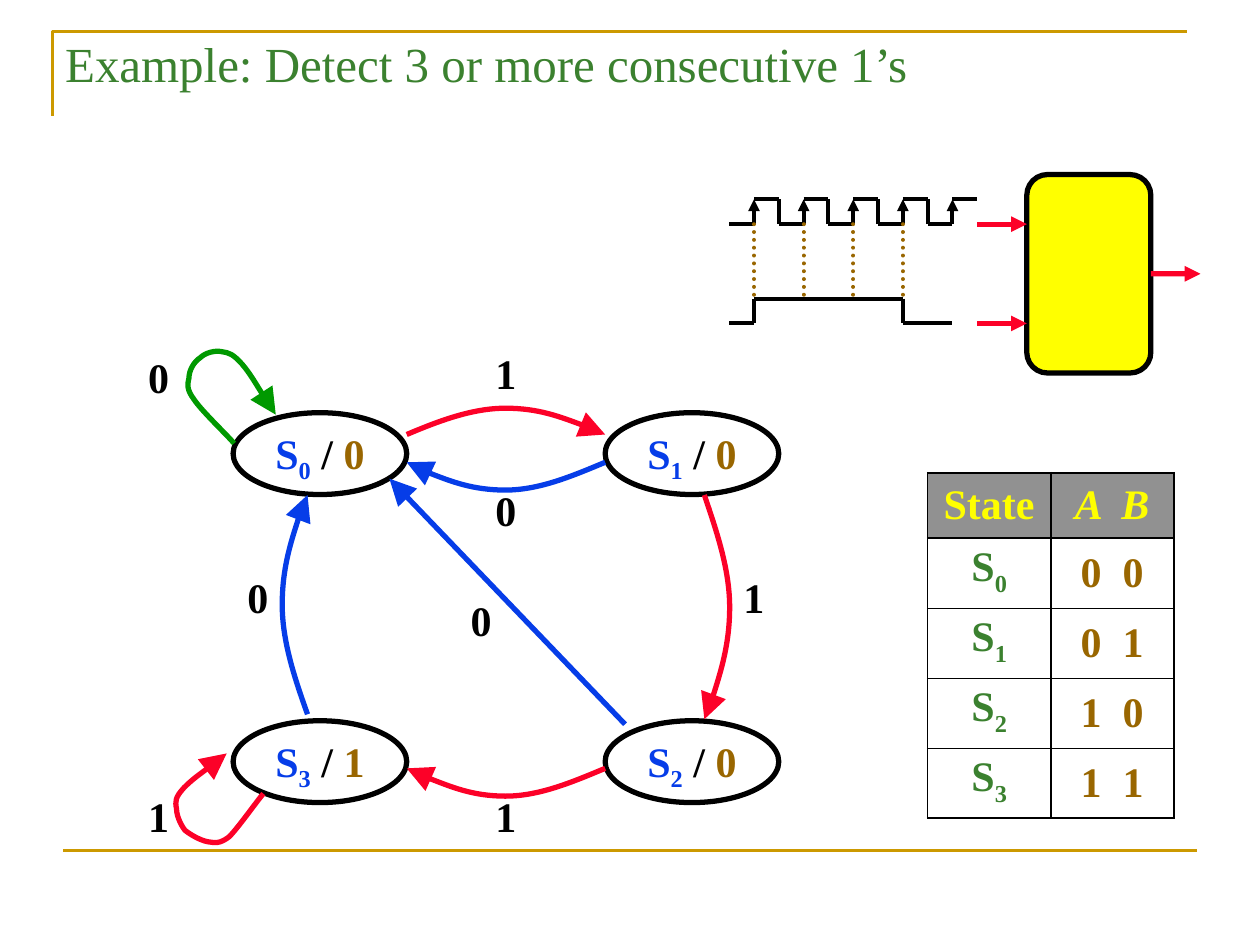
"""Build the slide with a state diagram that detects three or more consecutive ones."""
from dataclasses import dataclass
from itertools import pairwise

from lxml import etree
from pptx import Presentation
from pptx.dml.color import RGBColor
from pptx.enum import dml, shapes, text
from pptx.oxml import ns
from pptx.util import Cm, Pt

Point = tuple[float, float]


@dataclass(frozen=True)
class Theme:
    font: str = "Times New Roman"
    title_size: float = 28
    body_size: float = 24
    thick: float = 3
    medium: float = 2.25
    thin: float = 1.5
    black: str = "000000"
    gold: str = "CC9900"
    green: str = "3B812F"
    loop_green: str = "009900"
    red: str = "FC0128"
    blue: str = "063DE8"
    brown: str = "996600"
    yellow: str = "FFFF00"
    gray: str = "919191"


THEME = Theme()


@dataclass(frozen=True)
class Run:
    text: str
    color: str = THEME.black
    subscript: bool = False
    italic: bool = False


@dataclass(frozen=True)
class State:
    index: int
    output: int
    left: float
    top: float


@dataclass(frozen=True)
class Label:
    text: str
    left: float
    top: float


@dataclass(frozen=True)
class Transition:
    color: str
    points: tuple[Point, ...]


STATES = (State(0, 0, 4.7, 8.32), State(1, 0, 12.2, 8.32),
          State(3, 1, 4.7, 14.53), State(2, 0, 12.2, 14.53))

LABELS = (Label("0", 2.7, 7.2), Label("1", 9.7, 7.12), Label("0", 9.7, 9.88),
          Label("0", 4.7, 11.63), Label("0", 9.2, 12.1), Label("1", 14.7, 11.63),
          Label("1", 2.7, 16.05), Label("1", 9.7, 16.05))

TRANSITIONS = (
    Transition(THEME.loop_green, (
        (4.72, 8.94), (4.6, 8.79), (4.06, 8.28), (3.91, 8.05), (3.76, 7.85), (3.78, 7.75),
        (3.81, 7.62), (3.81, 7.47), (3.91, 7.29), (4.04, 7.21), (4.14, 7.11), (4.34, 7.06),
        (4.47, 7.09), (4.62, 7.11), (4.7, 7.14), (4.88, 7.34), (5.05, 7.54), (5.41, 8.15),
        (5.56, 8.36))),
    Transition(THEME.red, (
        (8.2, 8.76), (8.86, 8.48), (9.53, 8.23), (10.19, 8.23), (10.87, 8.23), (11.86, 8.59),
        (12.2, 8.76))),
    Transition(THEME.blue, (
        (12.2, 9.32), (11.53, 9.6), (10.87, 9.88), (10.19, 9.88), (9.53, 9.88), (8.53, 9.53),
        (8.2, 9.32))),
    Transition(THEME.red, (
        (14.2, 9.98), (14.45, 10.72), (14.71, 11.48), (14.71, 12.24), (14.71, 12.98),
        (14.38, 14.12), (14.2, 14.5))),
    Transition(THEME.red, (
        (12.2, 15.49), (11.53, 15.77), (10.87, 16.05), (10.19, 16.05), (9.53, 16.05),
        (8.53, 15.67), (8.2, 15.49))),
    Transition(THEME.blue, (
        (6.2, 14.4), (5.94, 13.67), (5.69, 12.93), (5.69, 12.19), (5.69, 11.46), (6.02, 10.34),
        (6.2, 9.98))),
    Transition(THEME.red, (
        (5.31, 16.0), (5.18, 16.15), (4.8, 16.69), (4.62, 16.87), (4.42, 17.02), (4.34, 16.99),
        (4.19, 16.97), (4.04, 16.94), (3.86, 16.84), (3.73, 16.74), (3.63, 16.61), (3.56, 16.43),
        (3.56, 16.31), (3.53, 16.15), (3.53, 16.08), (3.71, 15.88), (3.89, 15.7), (4.39, 15.34),
        (4.57, 15.19))),
)


def write(frame, runs: list[Run], *, size: float = THEME.body_size, bold: bool = True,
          align=text.PP_ALIGN.CENTER, spacing: float = 1.0, anchor=None,
          margin: float | None = None) -> None:
    """Write one formatted paragraph into a text frame."""
    frame.word_wrap = True
    if anchor is not None:
        frame.vertical_anchor = anchor
    if margin is not None:
        frame.margin_left = frame.margin_right = frame.margin_top = frame.margin_bottom = Cm(margin)
    paragraph = frame.paragraphs[0]
    paragraph.alignment, paragraph.line_spacing = align, spacing
    for item in runs:
        run = paragraph.add_run()
        run.text = item.text
        run.font.name, run.font.size = THEME.font, Pt(size)
        run.font.bold, run.font.italic = bold, item.italic
        run.font.color.rgb = RGBColor.from_string(item.color)
        if item.subscript:
            run.font._element.set("baseline", "-25000")


def style_line(shape, color: str, width: float, arrow: str | None = None, dash=None) -> None:
    """Format an outline, with an optional arrowhead of the given size."""
    shape.line.color.rgb = RGBColor.from_string(color)
    shape.line.width = Pt(width)
    outline = shape._element.spPr.find(ns.qn("a:ln"))
    if dash is not None:
        shape.line.dash_style = dash
        outline.set("cap", "rnd")
    if arrow:
        etree.SubElement(outline, ns.qn("a:tailEnd"), type="triangle", w=arrow, len=arrow)


def add_line(slide, start: Point, end: Point, color: str = THEME.black,
             width: float = THEME.medium, arrow: str | None = None, dash=None):
    """Draw a straight connector."""
    connector = slide.shapes.add_connector(shapes.MSO_CONNECTOR.STRAIGHT, *map(Cm, start + end))
    style_line(connector, color, width, arrow, dash)
    etree.SubElement(connector._element.spPr, ns.qn("a:effectLst"))
    return connector


def add_outline(slide, points: tuple[Point, ...], color: str, width: float,
                arrow: str | None = None):
    """Draw an open unfilled outline through the points."""
    start, *rest = [(Cm(x), Cm(y)) for x, y in points]
    builder = slide.shapes.build_freeform(*start)
    builder.add_line_segments(rest, close=False)
    shape = builder.convert_to_shape()
    shape.shadow.inherit = False
    shape.fill.background()
    style_line(shape, color, width, arrow)
    return shape


def add_transition(slide, transition: Transition) -> None:
    """Draw a curved arrow, turning each three points into one cubic segment."""
    shape = add_outline(slide, transition.points, transition.color, THEME.thick, "lg")
    segments = list(shape._element.iter(ns.qn("a:lnTo")))
    for first in range(0, len(segments), 3):
        curve, *others = segments[first:first + 3]
        curve.tag = ns.qn("a:cubicBezTo")
        for other in others:
            curve.append(other[0])
            other.getparent().remove(other)


def add_shape(slide, kind, left: float, top: float, width: float, height: float,
              fill: str | None = None):
    """Draw a black-outlined preset shape."""
    shape = slide.shapes.add_shape(kind, Cm(left), Cm(top), Cm(width), Cm(height))
    shape.shadow.inherit = False
    set_fill(shape, fill)
    style_line(shape, THEME.black, THEME.thick)
    return shape


def set_fill(target, color: str | None) -> None:
    """Fill a shape or cell, or leave it clear."""
    if color is None:
        target.fill.background()
    else:
        target.fill.solid()
        target.fill.fore_color.rgb = RGBColor.from_string(color)


def add_state(slide, state: State) -> None:
    """Draw one state ellipse with its output."""
    ellipse = add_shape(slide, shapes.MSO_SHAPE.OVAL, state.left, state.top, 3.5, 1.65)
    runs = [Run("S", THEME.blue), Run(str(state.index), THEME.blue, subscript=True),
            Run(" / "), Run(str(state.output), THEME.brown)]
    write(ellipse.text_frame, runs, spacing=0.9, anchor=text.MSO_ANCHOR.MIDDLE, margin=0)


def add_label(slide, label: Label) -> None:
    """Write the input value beside a transition."""
    box = slide.shapes.add_textbox(Cm(label.left), Cm(label.top), Cm(1), Cm(0.92))
    write(box.text_frame, [Run(label.text)], spacing=0.9, margin=0)


def add_detector(slide) -> None:
    """Draw the detector block with its clock and input waveforms."""
    box = add_shape(slide, shapes.MSO_SHAPE.ROUNDED_RECTANGLE, 20.7, 3.52, 2.5, 4, THEME.yellow)
    output = add_line(slide, (23.2, 5.52), (24.2, 5.52), THEME.red, THEME.thick, "med")
    output.begin_connect(box, 3)
    low, high, half = 4.52, 4.02, 0.5
    for y in (low, low + 2):
        add_line(slide, (19.7, y), (20.7, y), THEME.red, THEME.thick, "med")
    for pulse in range(5):
        x = 15.2 + pulse
        add_line(slide, (x - half, low), (x, low))
        add_line(slide, (x, low), (x, high), arrow="med")
        add_line(slide, (x, high), (x + half, high))
        if pulse < 4:
            add_line(slide, (x + half, high), (x + half, low))
            add_line(slide, (x, low), (x, 6.02), THEME.brown, dash=dml.MSO_LINE.ROUND_DOT)
    signal = [(14.7, 6.52), (15.2, 6.52), (15.2, 6.02), (16.2, 6.02), (17.2, 6.02),
              (18.2, 6.02), (18.2, 6.52), (19.2, 6.52)]
    for start, end in pairwise(signal):
        add_line(slide, start, end)


def set_borders(cell, **widths: float) -> None:
    """Give a cell solid black borders, in points by side."""
    properties = cell._tc.get_or_add_tcPr()
    for side, width in widths.items():
        border = etree.SubElement(properties, ns.qn(f"a:ln{side}"), w=str(int(Pt(width))))
        fill = etree.SubElement(border, ns.qn("a:solidFill"))
        etree.SubElement(fill, ns.qn("a:srgbClr"), val=THEME.black)


def add_state_table(slide) -> None:
    """Add the table of state codes."""
    rows = [([Run("State", THEME.yellow)], [Run("A  B", THEME.yellow, italic=True)])]
    rows += [([Run("S", THEME.green), Run(str(n), THEME.green, subscript=True)],
              [Run(f"{n // 2}  {n % 2}", THEME.brown)]) for n in range(4)]
    table = slide.shapes.add_table(len(rows), 2, Cm(18.7), Cm(9.53), Cm(4.96), Cm(6.6)).table
    table.horz_banding = False
    outer, inner, divider = 1.08, 0.45, 1.47
    edges = [outer, divider, inner, inner, inner, outer]
    sides = [outer, divider, outer]
    for r, row in enumerate(rows):
        table.rows[r].height = Cm(1.32)
        for c, runs in enumerate(row):
            cell = table.cell(r, c)
            set_borders(cell, L=sides[c], R=sides[c + 1], T=edges[r], B=edges[r + 1])
            set_fill(cell, THEME.gray if r == 0 else None)
            top = r > 0 and c == 0
            cell.vertical_anchor = text.MSO_ANCHOR.TOP if top else text.MSO_ANCHOR.MIDDLE
            write(cell.text_frame, runs)


def add_title(slide) -> None:
    """Place the title and the slide's gold rules."""
    add_outline(slide, ((1.06, 2.33), (1.06, 0.63), (23.92, 0.63)), THEME.gold, THEME.thin)
    add_line(slide, (1.27, 17.15), (24.13, 17.15), THEME.gold, THEME.thin)
    title = slide.shapes.title
    title.left, title.top, title.width, title.height = Cm(1.06), Cm(0.55), Cm(21.39), Cm(1.98)
    title.text_frame.auto_size = text.MSO_AUTO_SIZE.NONE
    write(title.text_frame, [Run("Example: Detect 3 or more consecutive 1’s", THEME.green)],
          size=THEME.title_size, bold=False, align=text.PP_ALIGN.LEFT, anchor=text.MSO_ANCHOR.TOP)


def main() -> None:
    """Build and save the presentation."""
    presentation = Presentation()
    presentation.slide_width, presentation.slide_height = Cm(25.4), Cm(19.05)
    slide = presentation.slides.add_slide(presentation.slide_layouts[5])
    add_title(slide)
    add_detector(slide)
    for state in STATES:
        add_state(slide, state)
    for transition in TRANSITIONS:
        add_transition(slide, transition)
    add_line(slide, (12.6, 14.6), (7.85, 9.65), THEME.blue, THEME.thick, "lg")
    for label in LABELS:
        add_label(slide, label)
    add_state_table(slide)
    presentation.save("out.pptx")


if __name__ == "__main__":
    main()
